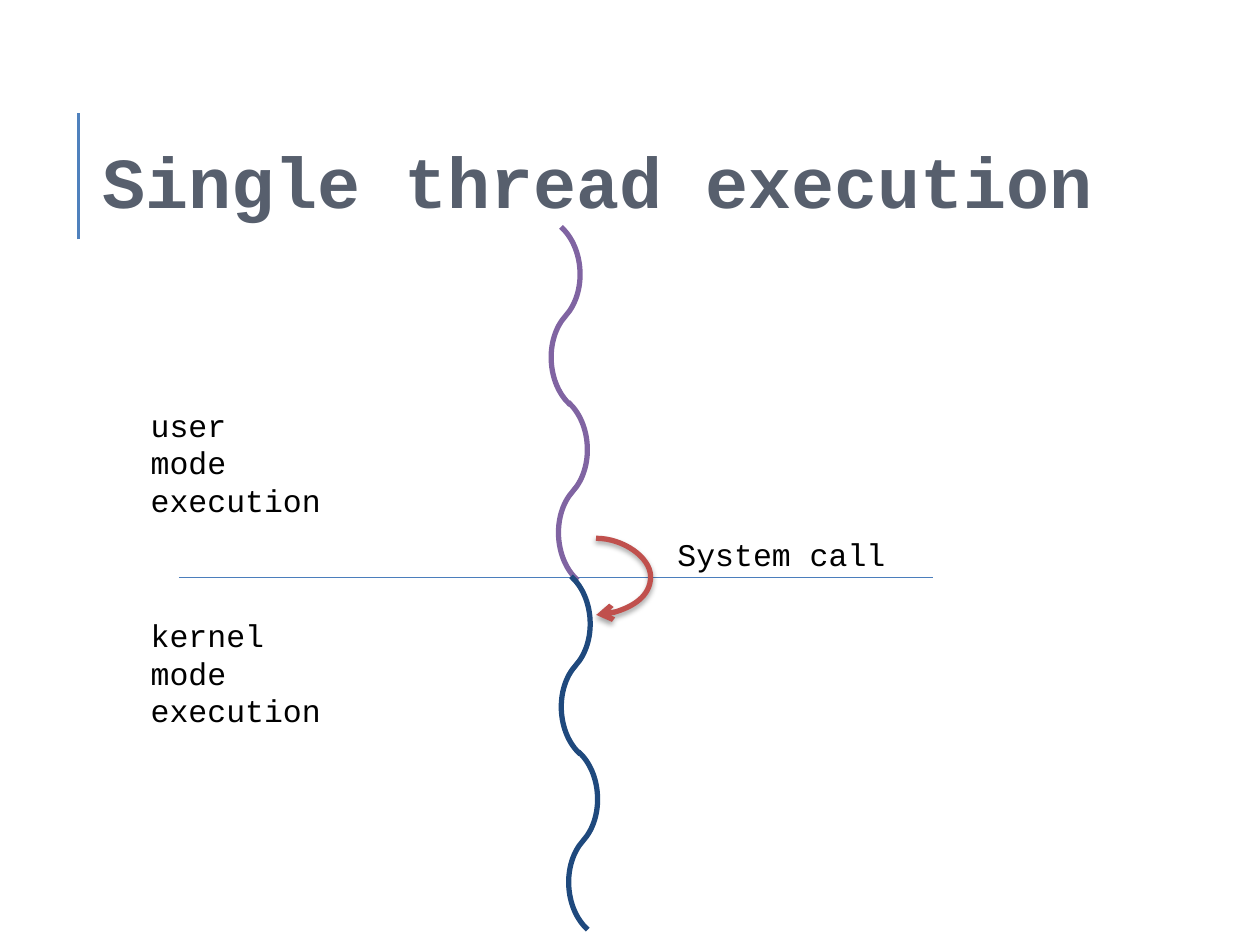
from lxml.etree import SubElement
from pptx import Presentation
from pptx.dml.color import RGBColor
from pptx.enum.shapes import MSO_CONNECTOR
from pptx.enum.text import MSO_ANCHOR, MSO_AUTO_SIZE, PP_ALIGN
from pptx.oxml.ns import qn
from pptx.util import Pt


def color(value):
    return RGBColor.from_string(value)


class SlideBuilder:
    font = "Courier New"
    text_color = "000000"
    title_color = "575F6D"
    text_size = 18
    title_size = 41

    def __init__(self, slide):
        self.slide = slide

    def run(self, paragraph, text, size, fill, bold=False):
        run = paragraph.add_run()
        run.text = text
        run.font.name = self.font
        run.font.size = Pt(size)
        run.font.bold = bold
        run.font.color.rgb = color(fill)

    def title(self, text, left, top, width, height):
        shape = self.slide.shapes.title
        shape.left, shape.top = Pt(left), Pt(top)
        shape.width, shape.height = Pt(width), Pt(height)
        frame = shape.text_frame
        frame.margin_left = frame.margin_right = 0
        frame.margin_top = frame.margin_bottom = 0
        frame.vertical_anchor = MSO_ANCHOR.MIDDLE
        frame.auto_size = MSO_AUTO_SIZE.NONE
        paragraph = frame.paragraphs[0]
        paragraph.alignment = PP_ALIGN.LEFT
        self.run(paragraph, text, self.title_size, self.title_color, True)

    def label(self, lines, left, top, width, height):
        shape = self.slide.shapes.add_textbox(Pt(left), Pt(top), Pt(width), Pt(height))
        frame = shape.text_frame
        frame.word_wrap = False
        frame.auto_size = MSO_AUTO_SIZE.SHAPE_TO_FIT_TEXT
        for index, line in enumerate(lines):
            paragraph = frame.add_paragraph() if index else frame.paragraphs[0]
            paragraph.alignment = PP_ALIGN.LEFT
            self.run(paragraph, line, self.text_size, self.text_color)

    def line(self, start, end, stroke, weight, kind=MSO_CONNECTOR.STRAIGHT):
        connector = self.slide.shapes.add_connector(
            kind, Pt(start[0]), Pt(start[1]), Pt(end[0]), Pt(end[1])
        )
        connector.line.color.rgb = color(stroke)
        connector.line.width = Pt(weight)
        SubElement(connector.element.spPr, qn("a:effectLst"))
        return connector

    def strand(self, left, top, size, angle, stroke):
        connector = self.line(
            (left, top), (left + size, top + size), stroke, 3, MSO_CONNECTOR.CURVE
        )
        connector.element.spPr.find(qn("a:xfrm")).set("rot", str(angle * 60000))

    def curved_arrow(self, left, top, height, bulge, stroke):
        width = 0.1
        connector = self.line(
            (left, top), (left + width, top + height), stroke, 3, MSO_CONNECTOR.CURVE
        )
        properties = connector.element.spPr
        geometry = properties.find(qn("a:prstGeom"))
        guides = geometry.find(qn("a:avLst"))
        if guides is None:
            guides = SubElement(geometry, qn("a:avLst"))
        ratio = round(bulge / width * 100000)
        SubElement(guides, qn("a:gd"), name="adj1", fmla=f"val {ratio}")
        SubElement(properties.find(qn("a:ln")), qn("a:tailEnd"), type="arrow")
        shadow = SubElement(
            properties.find(qn("a:effectLst")), qn("a:outerShdw"),
            blurRad=str(Pt(3.1)), dist=str(Pt(1.8)), dir="5400000", rotWithShape="0",
        )
        tint = SubElement(shadow, qn("a:srgbClr"), val="000000")
        SubElement(tint, qn("a:alpha"), val="35000")


presentation = Presentation()
presentation.slide_width, presentation.slide_height = Pt(720), Pt(540)
slide = presentation.slides.add_slide(presentation.slide_layouts[5])
builder = SlideBuilder(slide)

builder.title("Single thread execution", 58.7, 85, 661, 36)
builder.line((45, 136.8), (45, 64.8), "4F81BD", 1.5)
builder.line((102.2, 330.2), (533.2, 330.2), "4B7EBC", 0.75)

for left, top, stroke in [(287.2, 144.5, "8064A2"), (293, 344.2, "1F497D")]:
    for step in range(2):
        builder.strand(left + 4.2 * step, top + 100.2 * step, 72, 42, stroke)

builder.curved_arrow(340.6, 307.6, 43.8, 27.5, "C0504D")

for mode, top in [("user", 228.3), ("kernel", 348.4)]:
    builder.label([mode, "mode", "execution"], 79, top, 115, 72)
builder.label(["System call"], 380, 302, 137, 29)

presentation.save("out.pptx")
